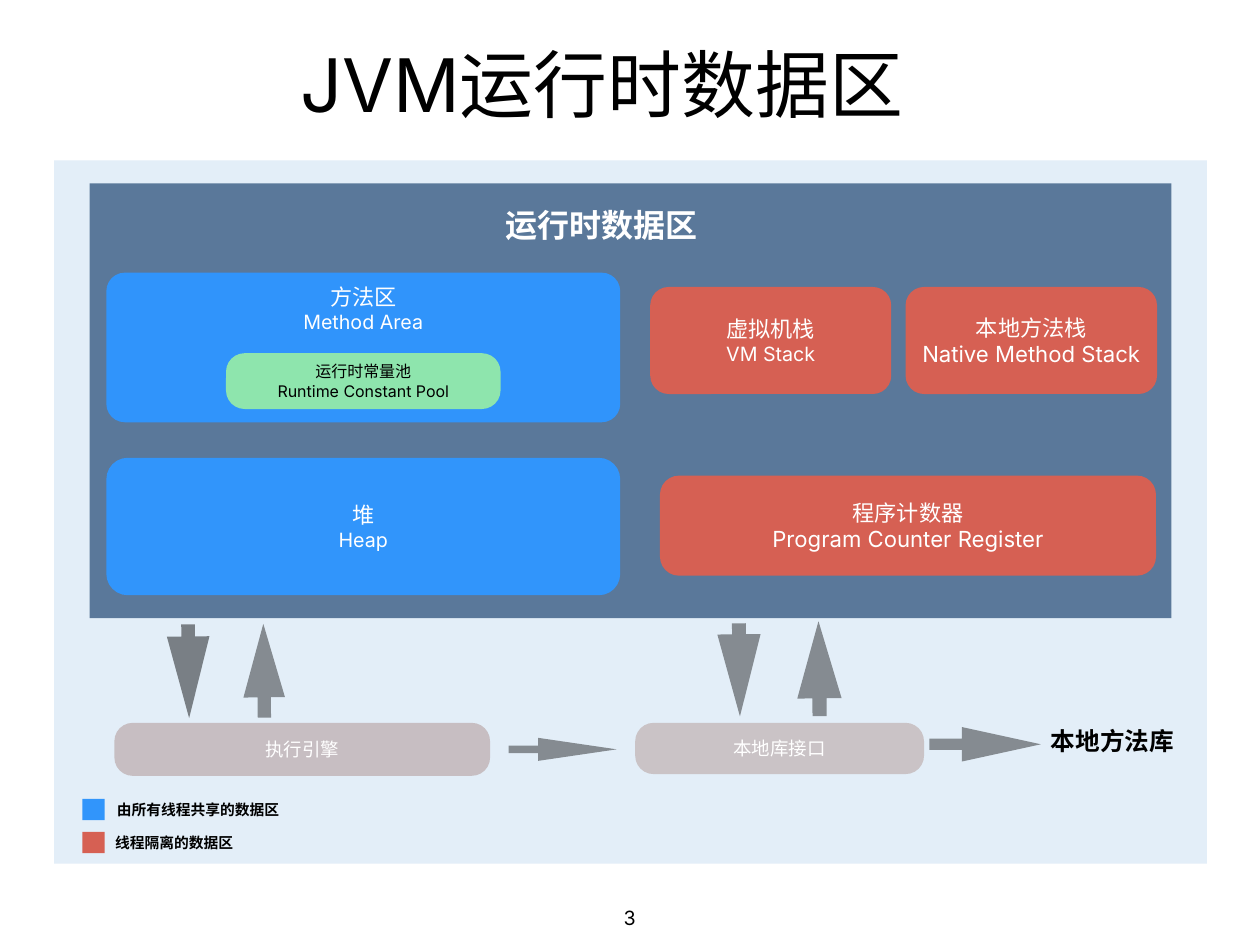
from pptx import Presentation
from pptx.dml.color import RGBColor
from pptx.enum.shapes import MSO_SHAPE
from pptx.enum.text import MSO_ANCHOR, PP_ALIGN
from pptx.oxml.ns import qn
from pptx.util import Cm, Pt
from lxml import etree

RECT, ROUND = MSO_SHAPE.RECTANGLE, MSO_SHAPE.ROUNDED_RECTANGLE
ARROW = MSO_SHAPE.RIGHT_ARROW
TOP, MIDDLE = MSO_ANCHOR.TOP, MSO_ANCHOR.MIDDLE
LEFT, CENTER = PP_ALIGN.LEFT, PP_ALIGN.CENTER

FONT = "Inter"
BLACK, WHITE = "000000", "FFFFFF"
BLUE, RED, GRAY = "3195FB", "D66053", "858B91"
DOWN, UP = 89.3, 269.3


def color(code):
    return RGBColor.from_string(code)


def write(shape, text, sizes, ink=WHITE, bold=False, align=CENTER,
          anchor=MIDDLE, wrap=True):
    """Fill a shape with one paragraph per line, each with its own size."""
    frame = shape.text_frame
    frame.word_wrap = wrap
    frame.vertical_anchor = anchor
    frame.margin_left = frame.margin_right = Cm(0.15)
    frame.margin_top = frame.margin_bottom = Cm(0.15)
    for i, (line, size) in enumerate(zip(text.split("\n"), sizes)):
        para = frame.add_paragraph() if i else frame.paragraphs[0]
        para.alignment = align
        run = para.add_run()
        run.text = line
        font = run.font
        font.name, font.size, font.bold = FONT, Pt(size), bold
        font.color.rgb = color(ink)
        east = etree.SubElement(run.font._element, qn("a:ea"))
        east.set("typeface", FONT)


class Board:
    def __init__(self, slide):
        self.shapes = slide.shapes

    def shape(self, kind, box, fill, alpha=None):
        item = self.shapes.add_shape(kind, *map(Cm, box))
        item.shadow.inherit = False
        item.line.fill.background()
        item.fill.solid()
        item.fill.fore_color.rgb = color(fill)
        if alpha:
            tone = item.fill._xPr.find(".//" + qn("a:srgbClr"))
            etree.SubElement(tone, qn("a:alpha")).set("val", str(alpha * 1000))
        return item

    def card(self, box, fill, curve, text, sizes, alpha=None, **style):
        item = self.shape(ROUND, box, fill, alpha)
        item.adjustments[0] = curve
        write(item, text, sizes, **style)

    def arrow(self, box, head, turn=0, fill=GRAY, alpha=None):
        item = self.shape(ARROW, box, fill, alpha)
        item.adjustments[0], item.adjustments[1] = 0.32, head
        item.rotation = turn

    def label(self, box, text, size, ink=BLACK, **style):
        item = self.shapes.add_textbox(*map(Cm, box))
        write(item, text, [size], ink, **style)


def main():
    deck = Presentation()
    deck.slide_width, deck.slide_height = Cm(36.12), Cm(27.1)
    board = Board(deck.slides.add_slide(deck.slide_layouts[6]))

    # Title and page number
    board.label((2.64, 0.71, 29.21, 3.33), "JVM运行时数据区", 60)
    board.label((17.73, 25.83, 0.64, 0.89), "3", 16, anchor=TOP, wrap=False)

    # Background panels
    board.shape(RECT, (1.55, 4.6, 33.05, 20.17), "448DD6", 15)
    board.shape(RECT, (2.57, 5.26, 31.01, 12.47), "5A789A")
    board.label((14.33, 5.64, 5.82, 1.6), "运行时数据区", 26, WHITE,
                bold=True, wrap=False)

    # Shared data areas
    board.card((3.05, 7.82, 14.73, 4.29), "3094FB", 0.123,
               "方法区\nMethod Area", (18, 16), anchor=TOP)
    board.card((6.48, 10.13, 7.87, 1.6), "8EE5AD", 0.333,
               "运行时常量池\nRuntime Constant Pool", (13, 13), ink=BLACK)
    board.card((3.05, 13.13, 14.73, 3.94), BLUE, 0.155,
               "堆\nHeap", (18, 16))

    # Data areas private to a thread
    board.card((18.64, 8.23, 6.91, 3.07), RED, 0.172,
               "虚拟机栈\nVM Stack", (18, 16))
    board.card((25.96, 8.23, 7.21, 3.07), RED, 0.172,
               "本地方法栈\nNative Method Stack", (18, 18))
    board.card((18.92, 13.64, 14.22, 2.87), RED, 0.19,
               "程序计数器\nProgram Counter Register", (18, 18))

    # Engine, native interface and native library
    board.card((3.28, 20.73, 10.77, 1.52), "92645A", 0.345,
               "执行引擎", [15], alpha=34)
    board.card((18.21, 20.73, 8.28, 1.47), "CAC3C6", 0.358,
               "本地库接口", [15])
    board.label((29.97, 20.6, 3.84, 1.27), "本地方法库", 20,
                bold=True, wrap=False)

    # Arrows
    board.arrow((4.06, 18.64, 2.69, 1.22), 1.92, DOWN, "0C0C0E", 49)
    board.arrow((6.22, 18.64, 2.69, 1.19), 1.77, UP)
    board.arrow((19.86, 18.59, 2.67, 1.24), 1.9, DOWN)
    board.arrow((22.12, 18.54, 2.72, 1.27), 1.74, UP)
    board.arrow((14.58, 21.16, 3.1, 0.66), 3.41)
    board.arrow((26.64, 20.85, 3.2, 0.99), 2.29)

    # Legend
    legend = ((BLUE, 3.2, "由所有线程共享的数据区"),
              (RED, 3.15, "线程隔离的数据区"))
    for i, (fill, left, text) in enumerate(legend):
        top = 22.91 + 0.95 * i
        board.shape(RECT, (2.36, top, 0.64, 0.61), fill)
        board.label((left, top - 0.14, 5.61, 0.89), text, 12,
                    bold=True, align=LEFT)

    deck.save("out.pptx")


if __name__ == "__main__":
    main()
